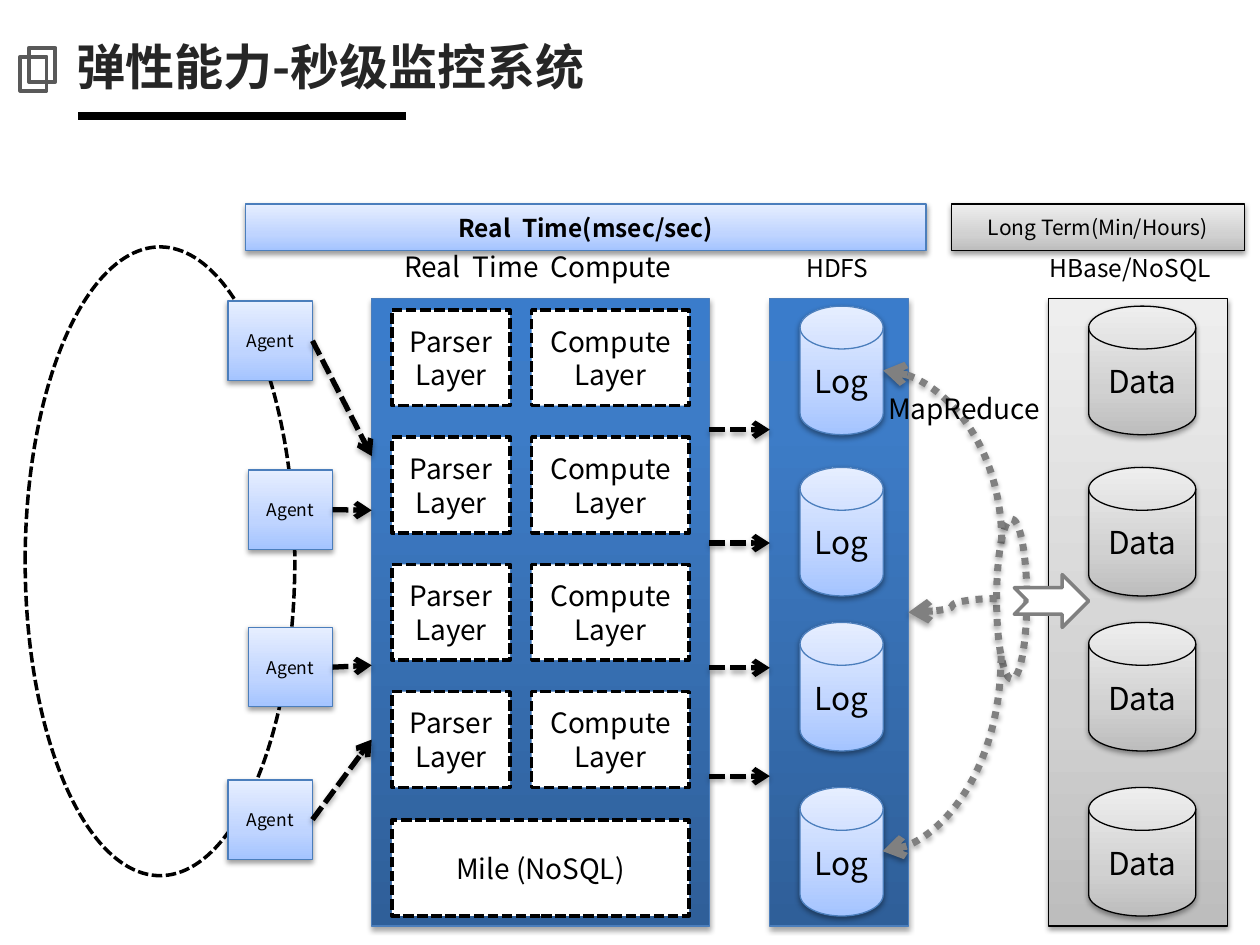
from lxml import etree
from pptx import Presentation
from pptx.dml.color import RGBColor
from pptx.enum.dml import MSO_LINE
from pptx.enum.shapes import MSO_CONNECTOR, MSO_SHAPE
from pptx.enum.text import MSO_ANCHOR, PP_ALIGN
from pptx.oxml.ns import qn
from pptx.util import Inches, Pt

RECT, CYLINDER = MSO_SHAPE.RECTANGLE, MSO_SHAPE.FLOWCHART_MAGNETIC_DISK
OVAL, NODE = MSO_SHAPE.OVAL, MSO_SHAPE.FLOWCHART_CONNECTOR
NOTCHED_ARROW = MSO_SHAPE.NOTCHED_RIGHT_ARROW
STRAIGHT, CURVE = MSO_CONNECTOR.STRAIGHT, MSO_CONNECTOR.CURVE
DASH, DOT = MSO_LINE.SQUARE_DOT, MSO_LINE.ROUND_DOT
CENTER, LEFT = PP_ALIGN.CENTER, PP_ALIGN.LEFT
MIDDLE, TOP = MSO_ANCHOR.MIDDLE, MSO_ANCHOR.TOP
RIGHT_SIDE = 3

FONT = "Noto Sans CJK SC"
COLORS = {"black": "000000", "white": "FFFFFF", "title": "262626",
          "icon": "595959", "gray": "808080", "blue": "4B7EBC"}
GRADIENTS = {  # (position in percent, colour), from bottom to top
    "deep": [(0, "2F5F99"), (80, "3D7CC7"), (100, "3A7CCB")],
    "light": [(0, "A4C4FF"), (35, "BFD4FF"), (100, "E6EEFF")],
    "silver": [(0, "BDBDBD"), (35, "D1D1D1"), (100, "EEEEEE")],
}
# Outline as (colour, points, dash), shadow as (opacity percent, distance in EMU)
LINE_SHADOW, BLOCK_SHADOW = (35, 23000), (38, 20000)
DEEP = dict(fill="deep", line=("blue", 0.75, None), shadow=LINE_SHADOW)
LIGHT = dict(fill="light", line=("blue", 0.75, None), shadow=BLOCK_SHADOW)
SILVER = dict(fill="silver", line=("black", 0.75, None), shadow=BLOCK_SHADOW)
DASHED = dict(fill="white", line=("black", 2, DASH))
FLOW, MAP_REDUCE = ("black", 3, DASH), ("gray", 4, DOT)


def rgb(name):
    return RGBColor.from_string(COLORS[name])


def set_line(line, style):
    color, width, dash = style
    line.color.rgb = rgb(color)
    line.width = Pt(width)
    if dash is not None:
        line.dash_style = dash


def set_gradient(fill, stops):
    fill.gradient()
    fill.gradient_angle = 90
    stop_list = fill._xPr.find(qn("a:gradFill")).find(qn("a:gsLst"))
    for old_stop in list(stop_list):
        stop_list.remove(old_stop)
    for position, color in stops:
        stop = etree.SubElement(stop_list, qn("a:gs"), pos=str(position * 1000))
        etree.SubElement(stop, qn("a:srgbClr"), val=color)


def set_shadow(element, shadow):
    """Replace the theme's shadow with the given one, or with none."""
    properties = element.spPr
    effects = properties.find(qn("a:effectLst"))
    if effects is None:
        effects = etree.SubElement(properties, qn("a:effectLst"))
    if shadow:
        opacity, distance = shadow
        outer = etree.SubElement(effects, qn("a:outerShdw"), blurRad="40000",
                                 dist=str(distance), dir="5400000", rotWithShape="0")
        color = etree.SubElement(outer, qn("a:srgbClr"), val=COLORS["black"])
        etree.SubElement(color, qn("a:alpha"), val=str(opacity * 1000))


def write(shape, text, size, bold=False, color="black", align=CENTER, anchor=MIDDLE):
    frame = shape.text_frame
    frame.text = text
    for name, value in {"word_wrap": True, "vertical_anchor": anchor}.items():
        setattr(frame, name, value)
    font_format = {"name": FONT, "size": Pt(size), "bold": bold}
    for paragraph in frame.paragraphs:
        paragraph.alignment = align
        for run in paragraph.runs:
            for name, value in font_format.items():
                setattr(run.font, name, value)
            run.font.color.rgb = rgb(color)
            etree.SubElement(run._r.get_or_add_rPr(), qn("a:ea"), typeface=FONT)


def add_block(slide, kind, box, line, fill=None, shadow=None, text="", size=16, bold=False):
    shape = slide.shapes.add_shape(kind, *map(Inches, box))
    shape.shadow.inherit = False
    set_shadow(shape._element, shadow)
    if fill in GRADIENTS:
        set_gradient(shape.fill, GRADIENTS[fill])
    elif fill:
        shape.fill.solid()
        shape.fill.fore_color.rgb = rgb(fill)
    else:
        shape.fill.background()
    set_line(shape.line, line)
    if text:
        write(shape, text, size, bold)
    return shape


def add_label(slide, box, text, size, **text_format):
    label = slide.shapes.add_textbox(*map(Inches, box))
    write(label, text, size, **{"align": LEFT, "anchor": TOP, **text_format})


def add_line(slide, start, end, style, kind=STRAIGHT, arrow=True):
    line = slide.shapes.add_connector(kind, *map(Inches, start + end))
    set_line(line.line, style)
    set_shadow(line._element, LINE_SHADOW if arrow else None)
    if arrow:
        etree.SubElement(line.line._get_or_add_ln(), qn("a:tailEnd"), type="arrow")
    return line


def add_quarter_curve(slide, start, end, degrees):
    """Curve with a single bend; start and end are given before the turn."""
    curve = add_line(slide, start, end, MAP_REDUCE, CURVE)
    properties = curve._element.spPr
    properties.find(qn("a:prstGeom")).set("prst", "curvedConnector2")
    properties.find(qn("a:xfrm")).set("rot", str(degrees * 60000))


def add_heading(slide):
    add_line(slide, (0.62, 0.92), (3.22, 0.92), ("black", 4.5, None), arrow=False)
    for left, top in ((0.16, 0.45), (0.23, 0.38)):
        add_block(slide, RECT, (left, top, 0.21, 0.27), ("icon", 2.25, None))
    add_label(slide, (0.51, 0.13, 9.21, 0.79), "弹性能力-秒级监控系统", 28,
              bold=True, color="title", anchor=MIDDLE)


def add_storage(slide):
    """HDFS and HBase columns, their headers and the MapReduce loop."""
    add_block(slide, NODE, (7.91, 4.12, 0.24, 1.27), MAP_REDUCE, shadow=LINE_SHADOW)
    add_block(slide, OVAL, (0.2, 1.96, 2.14, 4.99), **DASHED)
    disk_tops = (2.43, 3.71, 4.94, 6.25)

    hdfs = add_block(slide, RECT, (6.11, 2.37, 1.1, 4.98), **DEEP)
    for top in disk_tops:
        add_block(slide, CYLINDER, (6.35, top, 0.66, 1.02), text="Log", size=18, **LIGHT)
    add_block(slide, RECT, (1.95, 1.62, 5.4, 0.37), text="Real  Time(msec/sec)",
              size=14, bold=True, **LIGHT)
    add_block(slide, RECT, (7.55, 1.62, 2.33, 0.37), text="Long Term(Min/Hours)",
              size=12, **SILVER)
    add_label(slide, (6.3, 1.96, 0.75, 0.34), "HDFS", 14)

    add_block(slide, RECT, (8.32, 2.37, 1.42, 4.98), **SILVER)
    for top in disk_tops:
        add_block(slide, CYLINDER, (8.64, top, 0.85, 1.02), text="Data", size=18, **SILVER)
    add_label(slide, (8.23, 1.96, 1.81, 0.34), "HBase/NoSQL", 14)

    add_quarter_curve(slide, (6.8, 4.09), (8.16, 3.15), 270)
    to_hdfs = add_line(slide, (7.91, 4.75), (7.21, 4.86), MAP_REDUCE, CURVE)
    to_hdfs.end_connect(hdfs, RIGHT_SIDE)
    add_quarter_curve(slide, (6.7, 5.51), (8.25, 6.45), 90)
    add_block(slide, NOTCHED_ARROW, (8.05, 4.56, 0.59, 0.42), ("gray", 2, None), "white")
    add_label(slide, (6.95, 3.06, 1.54, 0.37), "MapReduce", 16)


def add_compute(slide):
    """Real-time compute panel with its layers and the arrows to HDFS."""
    add_block(slide, RECT, (2.95, 2.37, 2.68, 4.98), **DEEP)
    add_label(slide, (3.11, 1.93, 2.52, 0.37), "Real  Time  Compute", 16)
    for y in (3.41, 4.31, 5.3, 6.16):
        add_line(slide, (5.63, y), (6.11, y), FLOW)
    for left, width, layer in ((3.11, 0.94, "Parser"), (4.22, 1.25, "Compute")):
        for row in range(4):
            add_block(slide, RECT, (left, 2.46 + 1.01 * row, width, 0.76),
                      text=layer + "\nLayer", **DASHED)
    add_block(slide, RECT, (3.11, 6.51, 2.36, 0.76), text="Mile (NoSQL)", **DASHED)


def add_agents(slide):
    """Agents, each with an arrow to the compute panel at the given height."""
    for left, top, target in ((1.81, 2.39, 3.62), (1.97, 3.73, 4.05),
                              (1.97, 4.98, 5.28), (1.81, 6.19, 5.87)):
        agent = add_block(slide, RECT, (left, top, 0.67, 0.63), text="Agent", size=10, **LIGHT)
        arrow = add_line(slide, (left + 0.67, top + 0.32), (2.95, target), FLOW)
        arrow.begin_connect(agent, RIGHT_SIDE)


def main():
    deck = Presentation()
    deck.slide_width, deck.slide_height = Inches(10), Inches(7.5)
    slide = deck.slides.add_slide(deck.slide_layouts[6])
    add_heading(slide)
    add_storage(slide)
    add_compute(slide)
    add_agents(slide)
    deck.save("out.pptx")


if __name__ == "__main__":
    main()
